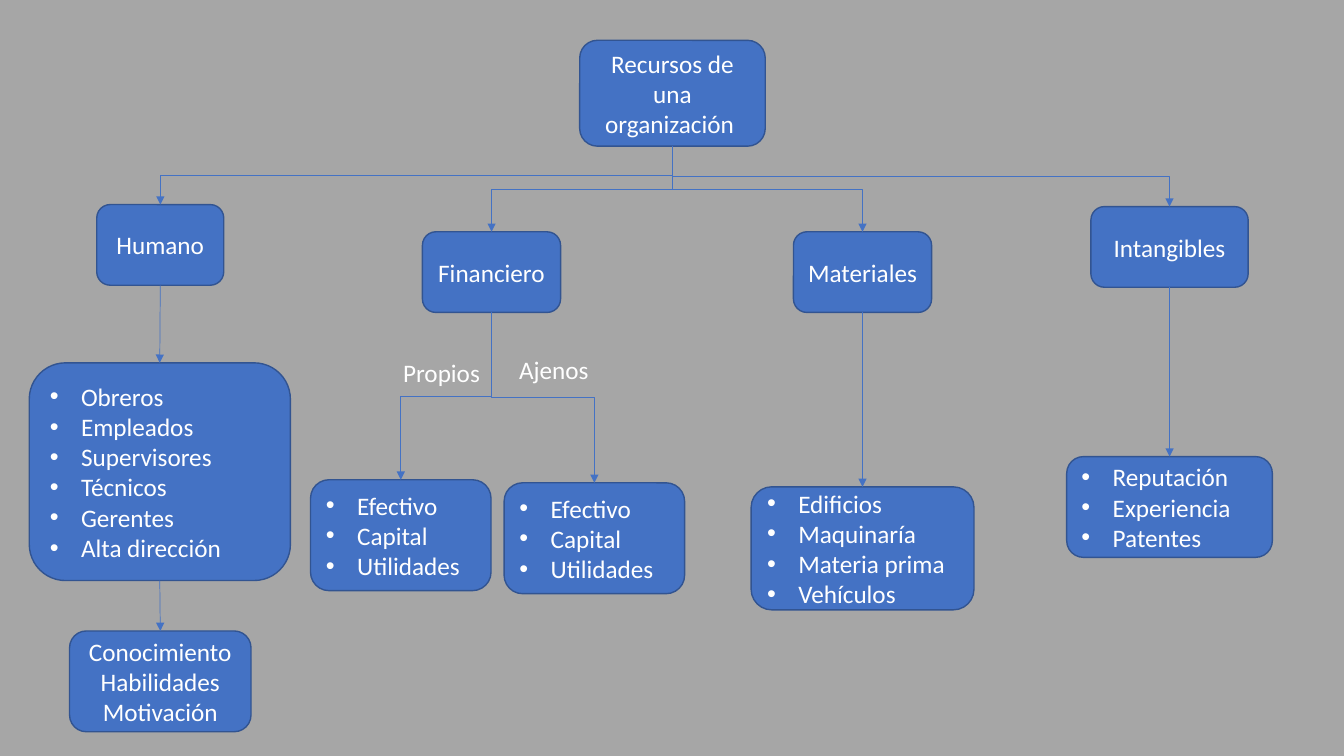
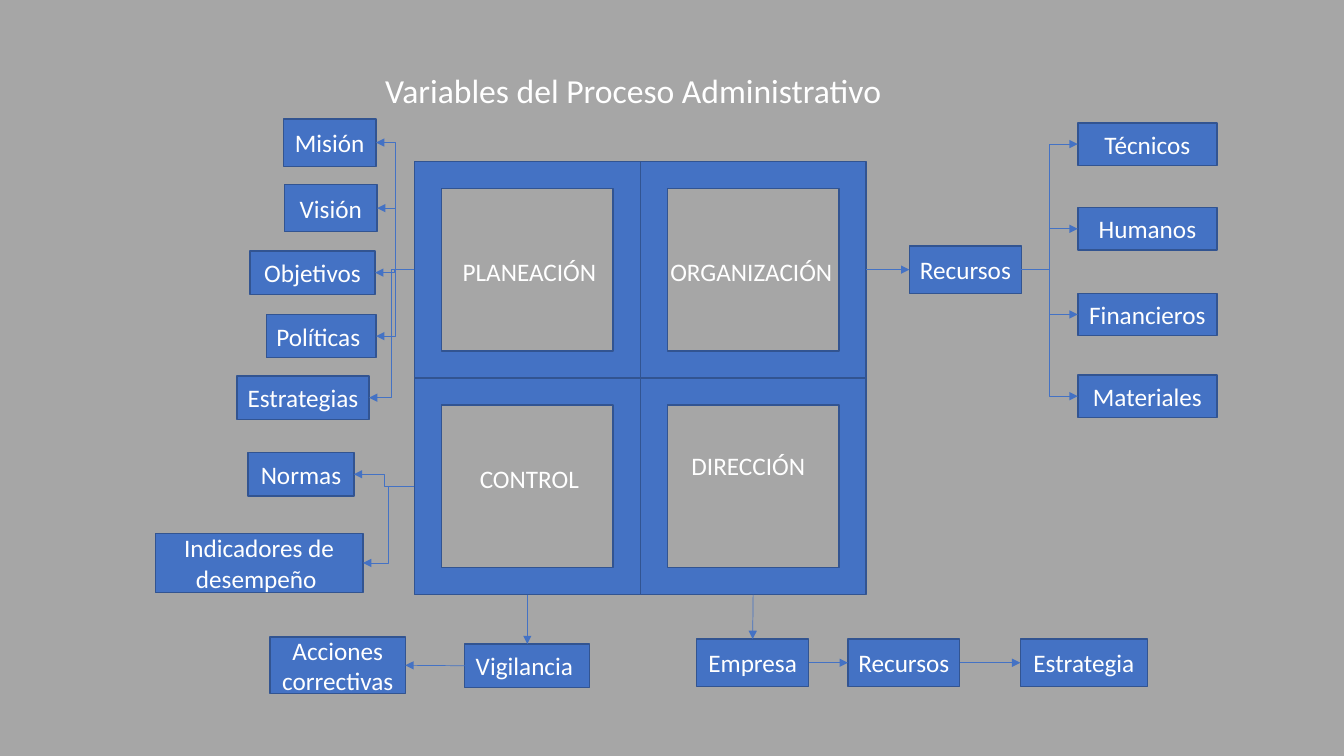
from lxml import etree
from pptx import Presentation
from pptx.dml.color import RGBColor
from pptx.enum.shapes import MSO_CONNECTOR, MSO_SHAPE
from pptx.enum.text import MSO_ANCHOR, MSO_AUTO_SIZE, PP_ALIGN
from pptx.oxml.ns import qn
from pptx.util import Inches, Pt

ROUNDED, RECT, FRAME = MSO_SHAPE.ROUNDED_RECTANGLE, MSO_SHAPE.RECTANGLE, MSO_SHAPE.FRAME
STRAIGHT, ELBOW = MSO_CONNECTOR.STRAIGHT, MSO_CONNECTOR.ELBOW
LEFT_ALIGN, CENTER = PP_ALIGN.LEFT, PP_ALIGN.CENTER
TOP_ANCHOR, MIDDLE = MSO_ANCHOR.TOP, MSO_ANCHOR.MIDDLE
NO_FIT, GROW = MSO_AUTO_SIZE.NONE, MSO_AUTO_SIZE.SHAPE_TO_FIT_TEXT
TOP, LEFT, BOTTOM, RIGHT = range(4)

FONT = "Calibri"
BACKGROUND, BLUE, OUTLINE, WHITE = "A6A6A6", "4472C4", "325491", "FFFFFF"
TITLE_ONLY, BLANK = 5, 6
ALIGNED = Inches(0.02)
BULLET_INDENT = Inches(0.31)


def color(hex_value):
    return RGBColor.from_string(hex_value)


def paint(fill, hex_value):
    fill.solid()
    fill.fore_color.rgb = color(hex_value)


def inches(area):
    return [Inches(length) for length in area]


def offset(area, origin):
    """Move an area given relative to an origin onto the slide."""
    return (area[0] + origin[0], area[1] + origin[1], *area[2:])


def write(paragraph, text, size=18, align=LEFT_ALIGN):
    paragraph.alignment = align
    run = paragraph.add_run()
    run.text = text
    run.font.name = FONT
    run.font.size = Pt(size)
    run.font.color.rgb = color(WHITE)


def add_bullet(paragraph):
    properties = paragraph._p.get_or_add_pPr()
    properties.set("marL", str(BULLET_INDENT))
    properties.set("indent", str(-BULLET_INDENT))
    etree.SubElement(properties, qn("a:buFont")).set("typeface", "Arial")
    etree.SubElement(properties, qn("a:buChar")).set("char", "•")


def add_block(slide, area, kind):
    block = slide.shapes.add_shape(kind, *inches(area))
    block.shadow.inherit = False
    paint(block.fill, BLUE)
    block.line.color.rgb = color(OUTLINE)
    block.line.width = Pt(1)
    return block


def add_box(slide, area, content, kind=RECT):
    """Add a box holding a centred string or a bulleted list."""
    box = add_block(slide, area, kind)
    frame = box.text_frame
    frame.word_wrap = True
    frame.vertical_anchor = MIDDLE
    if isinstance(content, str):
        write(frame.paragraphs[0], content, align=CENTER)
        return box
    for index, item in enumerate(content):
        paragraph = frame.add_paragraph() if index else frame.paragraphs[0]
        write(paragraph, item)
        add_bullet(paragraph)
    return box


def add_label(slide, area, text):
    frame = slide.shapes.add_textbox(*inches(area)).text_frame
    frame.word_wrap = False
    frame.auto_size = GROW
    write(frame.paragraphs[0], text)


def side_point(shape, side):
    x = {LEFT: 0, RIGHT: shape.width}.get(side, shape.width // 2)
    y = {TOP: 0, BOTTOM: shape.height}.get(side, shape.height // 2)
    return shape.left + x, shape.top + y


def turn_downward(connector, x1, y1, x2, y2):
    """Rotate an elbow so that it leaves its start vertically."""
    length, breadth = y2 - y1, abs(x2 - x1)
    connector.left = (x1 + x2 - length) // 2
    connector.top = (y1 + y2 - breadth) // 2
    connector.width, connector.height = length, breadth
    xfrm = connector._element.spPr.find(qn("a:xfrm"))
    for flip in ("flipH", "flipV"):
        xfrm.attrib.pop(flip, None)
    if x2 > x1:
        xfrm.set("flipH", "1")
    connector.rotation = 270 if x2 > x1 else 90


def link(slide, source, source_side, target, target_side):
    x1, y1 = side_point(source, source_side)
    x2, y2 = side_point(target, target_side)
    downward = source_side == BOTTOM
    bent = abs(x2 - x1 if downward else y2 - y1) > ALIGNED
    connector = slide.shapes.add_connector(ELBOW if bent else STRAIGHT, x1, y1, x2, y2)
    connector.begin_connect(source, source_side)
    connector.end_connect(target, target_side)
    if bent and downward:
        turn_downward(connector, x1, y1, x2, y2)
    connector.line.color.rgb = color(BLUE)
    connector.line.width = Pt(0.5)
    arrow = etree.SubElement(connector.line._get_or_add_ln(), qn("a:tailEnd"))
    arrow.set("type", "triangle")
    etree.SubElement(connector._element.spPr, qn("a:effectLst"))


def add_branch(slide, root, area, name, children):
    """Add a resource below the root, with its children placed from its corner."""
    head = add_box(slide, area, name, ROUNDED)
    link(slide, root, BOTTOM, head, TOP)
    boxes = []
    for child_area, items in children:
        child = add_box(slide, offset(child_area, area), items, ROUNDED)
        link(slide, head, BOTTOM, child, TOP)
        boxes.append(child)
    return boxes


def add_human_branch(slide, root, area):
    staff = ["Obreros", "Empleados", "Supervisores", "Técnicos", "Gerentes", "Alta dirección"]
    [staff_box] = add_branch(slide, root, area, "Humano", [((-0.67, 1.57, 2.59, 2.16), staff)])
    skills = add_box(slide, offset((-0.27, 4.23, 1.8, 1), area),
                     "Conocimiento Habilidades Motivación", ROUNDED)
    link(slide, staff_box, BOTTOM, skills, TOP)


def add_financial_branch(slide, root, area):
    funds = ["Efectivo", "Capital", "Utilidades"]
    add_branch(slide, root, area, "Financiero", [
        ((-1.11, 2.46, 1.79, 1.1), funds),
        ((0.81, 2.49, 1.79, 1.1), funds),
    ])
    add_label(slide, offset((-0.29, 1.2, 0.97, 0.4), area), "Propios")
    add_label(slide, offset((0.86, 1.17, 0.9, 0.4), area), "Ajenos")


def build_resources(prs):
    slide = prs.slides.add_slide(prs.slide_layouts[BLANK])
    root = add_box(slide, (5.75, 0.4, 1.84, 1.05), "Recursos de una organización ", ROUNDED)
    add_human_branch(slide, root, (0.96, 2.03, 1.26, 0.8))
    add_financial_branch(slide, root, (4.19, 2.3, 1.37, 0.8))
    add_branch(slide, root, (7.87, 2.3, 1.37, 0.8), "Materiales", [
        ((-0.42, 2.53, 2.21, 1.22), ["Edificios", "Maquinaría", "Materia prima", "Vehículos"]),
    ])
    add_branch(slide, root, (10.82, 2.05, 1.56, 0.8), "Intangibles", [
        ((-0.24, 2.48, 2.04, 1), ["Reputación", "Experiencia", "Patentes"]),
    ])


def add_title(slide, area, text):
    title = slide.shapes.title
    title.left, title.top, title.width, title.height = inches(area)
    frame = title.text_frame
    frame.word_wrap = False
    frame.auto_size = NO_FIT
    frame.vertical_anchor = TOP_ANCHOR
    write(frame.paragraphs[0], text, size=24)


def add_phase_matrix(slide, left, top, width, height):
    """Add the two by two phases, and return their frames row by row."""
    phases = [
        ("PLANEACIÓN", (0.38, 0.89, 1.54, 0.4)),
        ("ORGANIZACIÓN", (0.2, 0.89, 1.82, 0.4)),
        ("CONTROL", (0.55, 0.8, 1.19, 0.4)),
        ("DIRECCIÓN", (0.41, 0.67, 1.34, 0.4)),
    ]
    frames = []
    for index, (name, label_area) in enumerate(phases):
        row, column = divmod(index, 2)
        corner = (left + column * width, top + row * height)
        frames.append(add_block(slide, (*corner, width, height), FRAME))
        add_label(slide, offset(label_area, corner), name)
    return frames


def add_fan(slide, source, side, origin, items):
    """Add boxes beside a source, each joined to the same side of it."""
    for text, area in items:
        box = add_box(slide, offset(area, origin), text)
        link(slide, source, side, box, LEFT if side == RIGHT else RIGHT)


def add_chain(slide, source, origin, steps, side):
    """Add a row of steps below a source, running towards one side."""
    previous, exit_side, entry_side = source, BOTTOM, TOP
    for text, area in steps:
        step = add_box(slide, offset(area, origin), text)
        link(slide, previous, exit_side, step, entry_side)
        previous, exit_side, entry_side = step, side, LEFT if side == RIGHT else RIGHT


def add_resource_fan(slide, organization, origin):
    resources = add_box(slide, offset((0, 0, 1.11, 0.47), origin), "Recursos")
    link(slide, organization, RIGHT, resources, LEFT)
    rows = [("Técnicos", -1.22), ("Humanos", -0.38), ("Financieros", 0.47), ("Materiales", 1.28)]
    add_fan(slide, resources, RIGHT, origin,
            [(name, (1.67, top, 1.38, 0.42)) for name, top in rows])


def build_process(prs):
    slide = prs.slides.add_slide(prs.slide_layouts[TITLE_ONLY])
    add_title(slide, (3.72, 0.64, 5.25, 0.5), "Variables del Proceso Administrativo")
    planning, organization, control, direction = add_phase_matrix(slide, 4.11, 1.6, 2.24, 2.15)
    add_fan(slide, planning, LEFT, (2.35, 1.18), [
        ("Misión", (0.46, 0, 0.92, 0.47)),
        ("Visión", (0.47, 0.65, 0.92, 0.47)),
        ("Objetivos", (0.13, 1.31, 1.24, 0.43)),
        ("Políticas ", (0.29, 1.94, 1.09, 0.43)),
        ("Estrategias ", (0, 2.55, 1.31, 0.43)),
    ])
    add_resource_fan(slide, organization, (9.02, 2.44))
    add_fan(slide, control, LEFT, (1.54, 4.49), [
        ("Normas ", (0.92, 0, 1.05, 0.43)),
        ("Indicadores de desempeño ", (0, 0.8, 2.06, 0.59)),
    ])
    add_chain(slide, control, (2.68, 6.32), [
        ("Vigilancia ", (1.93, 0.07, 1.24, 0.43)),
        ("Acciones correctivas", (0, 0, 1.34, 0.56)),
    ], LEFT)
    add_chain(slide, direction, (6.91, 6.34), [
        ("Empresa ", (0, 0, 1.11, 0.47)),
        ("Recursos", (1.5, 0, 1.11, 0.47)),
        ("Estrategia", (3.21, 0, 1.26, 0.47)),
    ], RIGHT)


def main():
    prs = Presentation()
    prs.slide_width, prs.slide_height = Inches(13.33), Inches(7.5)
    paint(prs.slide_master.background.fill, BACKGROUND)
    build_resources(prs)
    build_process(prs)
    prs.save("out.pptx")


if __name__ == "__main__":
    main()
